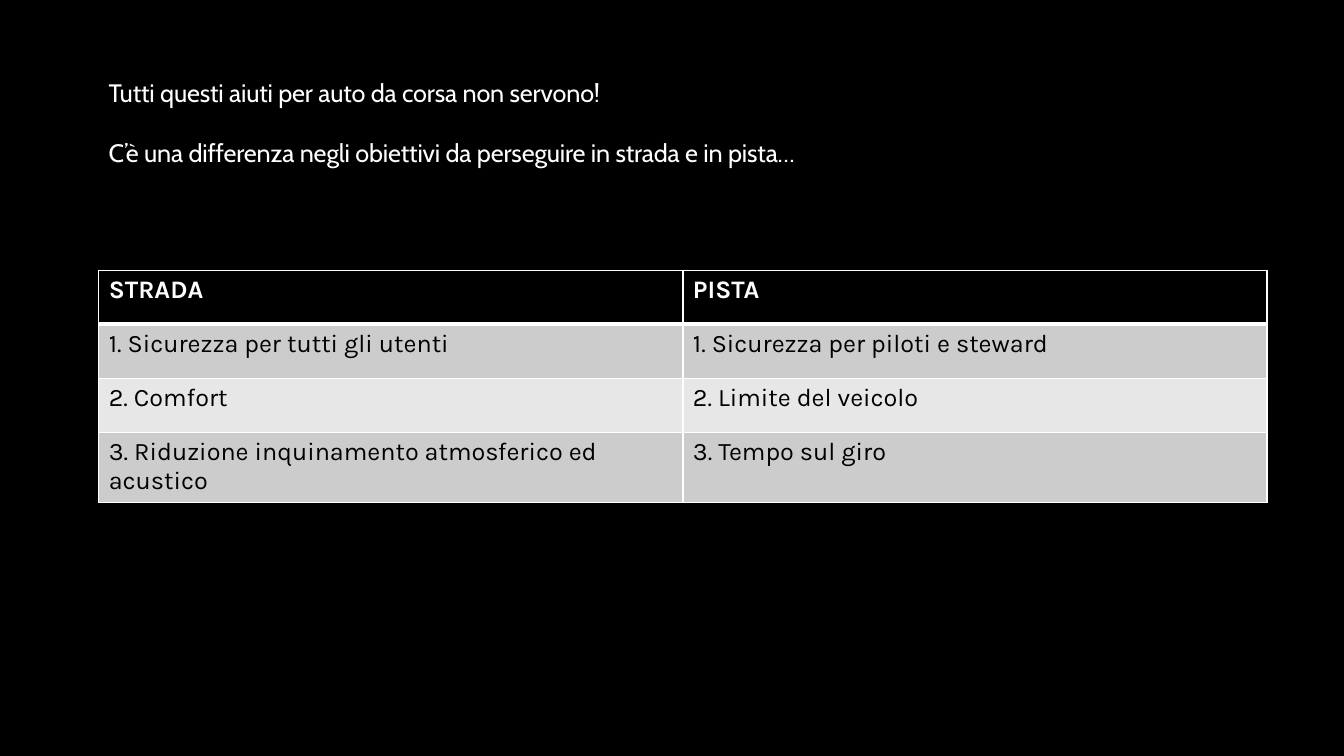
from lxml import etree
from pptx import Presentation
from pptx import util as u
from pptx.dml.color import RGBColor
from pptx.enum import text
from pptx.oxml import ns


def style(font, name, color, bold=False):
    font.name = name
    font.size = u.Pt(18)
    font.bold = bold
    font.color.rgb = RGBColor.from_string(color)


def add_border(cell, position, side, width):
    line = etree.Element(ns.qn(f"a:ln{side}"), w=str(u.Pt(width)))
    fill = etree.SubElement(line, ns.qn("a:solidFill"))
    etree.SubElement(fill, ns.qn("a:srgbClr"), val="FFFFFF")
    cell._tc.get_or_add_tcPr().insert(position, line)


LEFT, WIDTH = u.Cm(2.49), u.Cm(29.44)
ROW_HEIGHT = u.Cm(1.36)

presentation = Presentation()
presentation.slide_width = u.Cm(33.87)
presentation.slide_height = u.Cm(19.05)
slide = presentation.slides.add_slide(presentation.slide_layouts[6])
slide.background.fill.solid()
slide.background.fill.fore_color.rgb = RGBColor.from_string("000000")

intro = slide.shapes.add_textbox(LEFT, u.Cm(1.83), WIDTH, u.Cm(2.57))
intro.text_frame.word_wrap = True
intro.text_frame.auto_size = text.MSO_AUTO_SIZE.SHAPE_TO_FIT_TEXT
intro.text_frame.text = (
    "Tutti questi aiuti per auto da corsa non servono!\n"
    "C’è una differenza negli obiettivi da perseguire in strada e in pista…"
)
for paragraph in intro.text_frame.paragraphs:
    for run in paragraph.runs:
        style(run.font, "Cabin", "FFFFFF")
        run.font._element.set("spc", "-10")
intro.text_frame.paragraphs[1].space_before = u.Pt(21)

goals = [
    ("STRADA", "PISTA"),
    ("1. Sicurezza per tutti gli utenti", "1. Sicurezza per piloti e steward"),
    ("2. Comfort", "2. Limite del veicolo"),
    ("3. Riduzione inquinamento atmosferico ed acustico", "3. Tempo sul giro"),
]
row_fills = ["000000", "CCCCCC", "E7E7E7", "CCCCCC"]

table = slide.shapes.add_table(
    len(goals), 2, LEFT, u.Cm(6.81), WIDTH, ROW_HEIGHT * len(goals)
).table
for row_index, (labels, row_fill) in enumerate(zip(goals, row_fills)):
    header = row_index == 0
    widths = {"L": 1, "R": 1, "T": 3 if row_index == 1 else 1, "B": 3 if header else 1}
    for column_index, label in enumerate(labels):
        cell = table.cell(row_index, column_index)
        cell.text = label
        cell.fill.solid()
        cell.fill.fore_color.rgb = RGBColor.from_string(row_fill)
        run = cell.text_frame.paragraphs[0].runs[0]
        style(run.font, "Karla", "FFFFFF" if header else "000000", bold=header)
        for position, (side, width) in enumerate(widths.items()):
            add_border(cell, position, side, width)

presentation.save("out.pptx")
